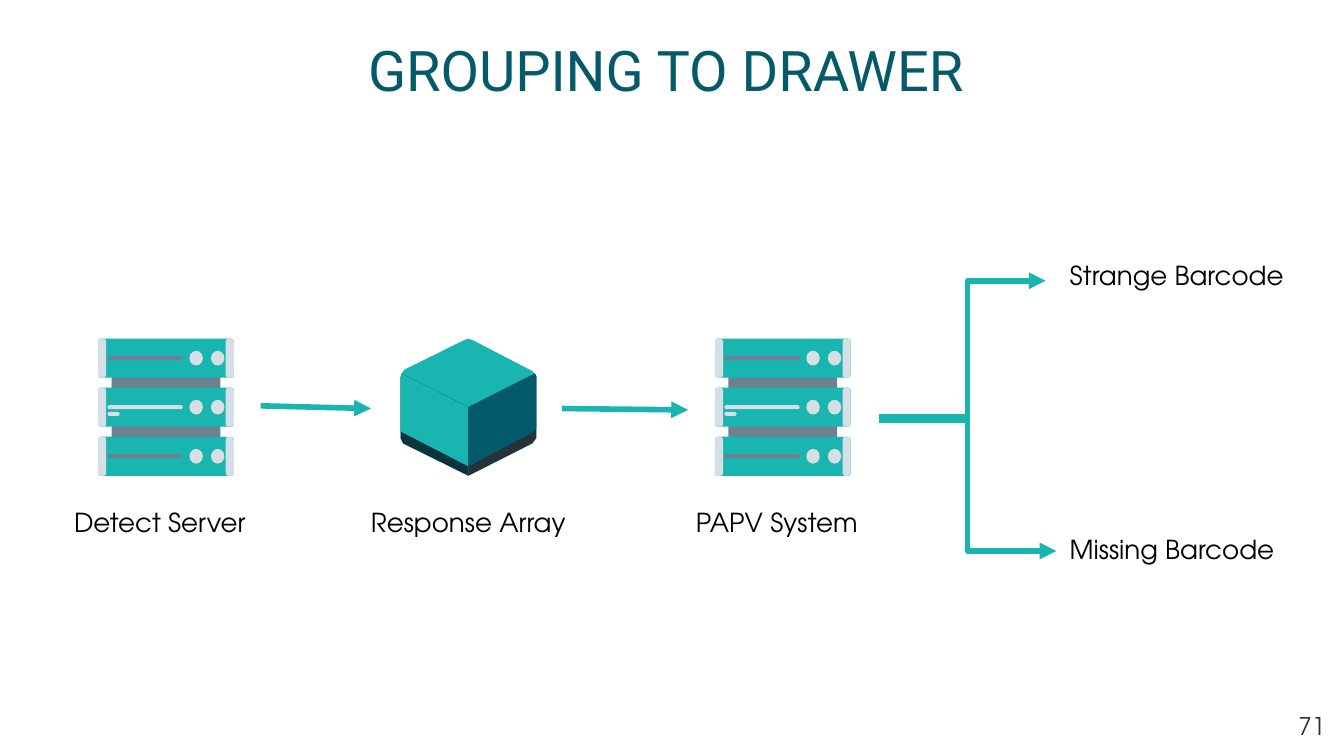
import dataclasses

import lxml.etree
import pptx
import pptx.dml.color
import pptx.enum.shapes
import pptx.enum.text
import pptx.oxml.ns
import pptx.util

Inches = pptx.util.Inches
SHAPE = pptx.enum.shapes.MSO_SHAPE
CONNECTOR = pptx.enum.shapes.MSO_CONNECTOR
ALIGN = pptx.enum.text.PP_ALIGN
ANCHOR = pptx.enum.text.MSO_ANCHOR


@dataclasses.dataclass(frozen=True)
class Theme:
    """Colours, fonts and type sizes of the slide."""
    teal: str = "19B5B1"
    deep_teal: str = "045A68"
    slate: str = "6D8192"
    cap: str = "D6DFE5"
    light: str = "D7DFE5"
    base_left: str = "0C343D"
    base_right: str = "263238"
    text: str = "000000"
    title_font: str = "Roboto"
    body_font: str = "TeX Gyre Adventor"
    title_size: int = 30
    label_size: int = 14
    number_size: int = 13
    line_width: int = 3


THEME = Theme()


def rgb(color):
    """Turn a hex string into a colour."""
    return pptx.dml.color.RGBColor.from_string(color)


def paint(shape, color):
    """Give a shape a flat fill without line or shadow."""
    shape.fill.solid()
    shape.fill.fore_color.rgb = rgb(color)
    shape.line.fill.background()
    shape.shadow.inherit = False


def write(shape, text, font, size, color, align, anchor=ANCHOR.TOP):
    """Write one formatted paragraph into a text shape."""
    frame = shape.text_frame
    frame.word_wrap = True
    frame.auto_size = pptx.enum.text.MSO_AUTO_SIZE.NONE
    frame.vertical_anchor = anchor
    frame.margin_left = frame.margin_right = Inches(0.1)
    frame.margin_top = frame.margin_bottom = Inches(0.1)
    frame.text = text
    paragraph = frame.paragraphs[0]
    paragraph.alignment = align
    paragraph.font.name = font
    paragraph.font.size = pptx.util.Pt(size)
    paragraph.font.color.rgb = rgb(color)


def add_title(slide, box, text):
    """Place the title placeholder in its box."""
    title = slide.shapes.title
    title.left, title.top, title.width, title.height = map(Inches, box)
    write(title, text, THEME.title_font, THEME.title_size, THEME.deep_teal,
          ALIGN.CENTER, ANCHOR.MIDDLE)


def add_label(shapes, box, text, align=ALIGN.CENTER,
              size=THEME.label_size, color=THEME.text):
    """Add a text box in the body font."""
    label = shapes.add_textbox(*map(Inches, box))
    write(label, text, THEME.body_font, size, color, align)


def add_part(shapes, kind, box, color, radius=None):
    """Add a flat preset shape, rounded by a radius in inches."""
    part = shapes.add_shape(kind, *map(Inches, box))
    if radius is not None:
        part.adjustments[0] = radius / min(box[2:])
    paint(part, color)


def add_server_unit(shapes, box, active):
    """Draw one server unit with caps, lamps and a slot."""
    left, top, width, height = box
    rounded = SHAPE.ROUNDED_RECTANGLE
    add_part(shapes, rounded, box, THEME.teal, 0.02)
    for offset in (0, width - 0.06):
        add_part(shapes, rounded, (left + offset, top, 0.06, height), THEME.cap, 0.02)
    for offset in (0.68, 0.84):
        add_part(shapes, SHAPE.OVAL, (left + offset, top + 0.09, 0.1, 0.11), THEME.light)
    slot_color = THEME.light if active else THEME.slate
    add_part(shapes, rounded, (left + 0.07, top + 0.13, 0.56, 0.03), slot_color, 0.015)
    if active:
        add_part(shapes, rounded, (left + 0.07, top + 0.18, 0.09, 0.03), slot_color, 0.015)


def add_server(slide, box):
    """Draw a stack of three server units."""
    left, top, width, height = box
    shapes = slide.shapes.add_group_shape().shapes
    add_part(shapes, SHAPE.RECTANGLE,
             (left + 0.1, top + 0.24, width - 0.2, height - 0.48), THEME.slate)
    unit_height = 0.29
    pitch = (height - unit_height) / 2
    for index in range(3):
        add_server_unit(shapes, (left, top + index * pitch, width, unit_height), index == 1)


def add_cube(slide, box):
    """Draw a cube with a dark base from flat faces."""
    left, top, width, height = box
    middle = width / 2
    shapes = slide.shapes.add_group_shape().shapes
    left_edge = [(middle, 0.51), (0.01, 0.26), (0, 0.29)]
    right_edge = [(middle, 0.51), (width - 0.01, 0.26), (width, 0.28)]
    left_foot = [(0, 0.74), (0.02, 0.78), (middle, height)]
    right_foot = [(width, 0.74), (width - 0.03, 0.78), (middle, height)]
    roof = [(0, 0.29), (0.01, 0.26), (0.03, 0.23), (middle - 0.03, 0.01), (middle, 0),
            (middle + 0.03, 0.01), (width - 0.03, 0.24), (width - 0.01, 0.26), (width, 0.28)]
    faces = [
        (roof + right_foot + left_foot[1::-1], THEME.teal),
        (left_edge + left_foot, THEME.base_left),
        (left_edge + [(0, 0.69), (middle, 0.95)], THEME.teal),
        (right_edge + right_foot, THEME.base_right),
        (right_edge + [(width, 0.67), (width - 0.03, 0.7), (middle, 0.95)], THEME.deep_teal),
    ]
    for points, color in faces:
        placed = [(Inches(left + x), Inches(top + y)) for x, y in points]
        builder = shapes.build_freeform(*placed[0])
        builder.add_line_segments(placed[1:], close=True)
        paint(builder.convert_to_shape(), color)


def add_arrow(slide, start, end, kind=CONNECTOR.STRAIGHT, bend=None):
    """Add an arrow, with the bend as a share of its width."""
    arrow = slide.shapes.add_connector(kind, *map(Inches, start + end))
    arrow.line.color.rgb = rgb(THEME.teal)
    arrow.line.width = pptx.util.Pt(THEME.line_width)
    qn = pptx.oxml.ns.qn
    properties = arrow.element.spPr
    lxml.etree.SubElement(properties.find(qn("a:ln")), qn("a:tailEnd"), type="triangle")
    lxml.etree.SubElement(properties, qn("a:effectLst"))
    if bend is not None:
        guides = properties.find(qn("a:prstGeom")).get_or_add_avLst()
        lxml.etree.SubElement(guides, qn("a:gd"), name="adj1",
                              fmla=f"val {round(bend * 100000)}")


def add_step(slide, box, text, draw_icon, label_left, label_width):
    """Add an icon with a label below it."""
    left, top, width, height = box
    draw_icon(slide, box)
    add_label(slide.shapes,
              (left + label_left, top + height + 0.13, label_width, 0.44), text)


def add_outcome(slide, box, text, start, end):
    """Add an outcome label and the elbow arrow leading to it."""
    add_arrow(slide, start, end, CONNECTOR.ELBOW, (7.2 - start[0]) / (end[0] - start[0]))
    add_label(slide.shapes, box, text, ALIGN.LEFT)


def main():
    """Build and save the slide."""
    presentation = pptx.Presentation()
    presentation.slide_width = Inches(10)
    presentation.slide_height = Inches(10) * 9 // 16
    slide = presentation.slides.add_slide(presentation.slide_layouts[5])

    add_title(slide, (2.32, 0.34, 5.27, 0.35), "GROUPING TO DRAWER")
    steps = [
        (0.73, "Detect Server", add_server, -0.3, 1.52),
        (2.98, "Response Array", add_cube, -0.35, 1.71),
        (5.32, "PAPV System", add_server, -0.3, 1.52),
    ]
    for left, text, draw_icon, label_left, label_width in steps:
        add_step(slide, (left, 2.52, 1.01, 1.02), text, draw_icon, label_left, label_width)
    add_arrow(slide, (1.94, 3.02), (2.76, 3.04))
    add_arrow(slide, (4.18, 3.04), (5.12, 3.05))
    add_outcome(slide, (7.86, 1.83, 1.82, 0.44), "Strange Barcode", (6.54, 3.13), (7.78, 2.09))
    add_outcome(slide, (7.86, 3.87, 1.82, 0.44), "Missing Barcode", (6.54, 3.1), (7.86, 4.1))
    add_label(slide.shapes, (9.36, 5.19, 0.6, 0.43), "71", ALIGN.RIGHT,
              THEME.number_size, THEME.base_right)
    presentation.save("out.pptx")


if __name__ == "__main__":
    main()
